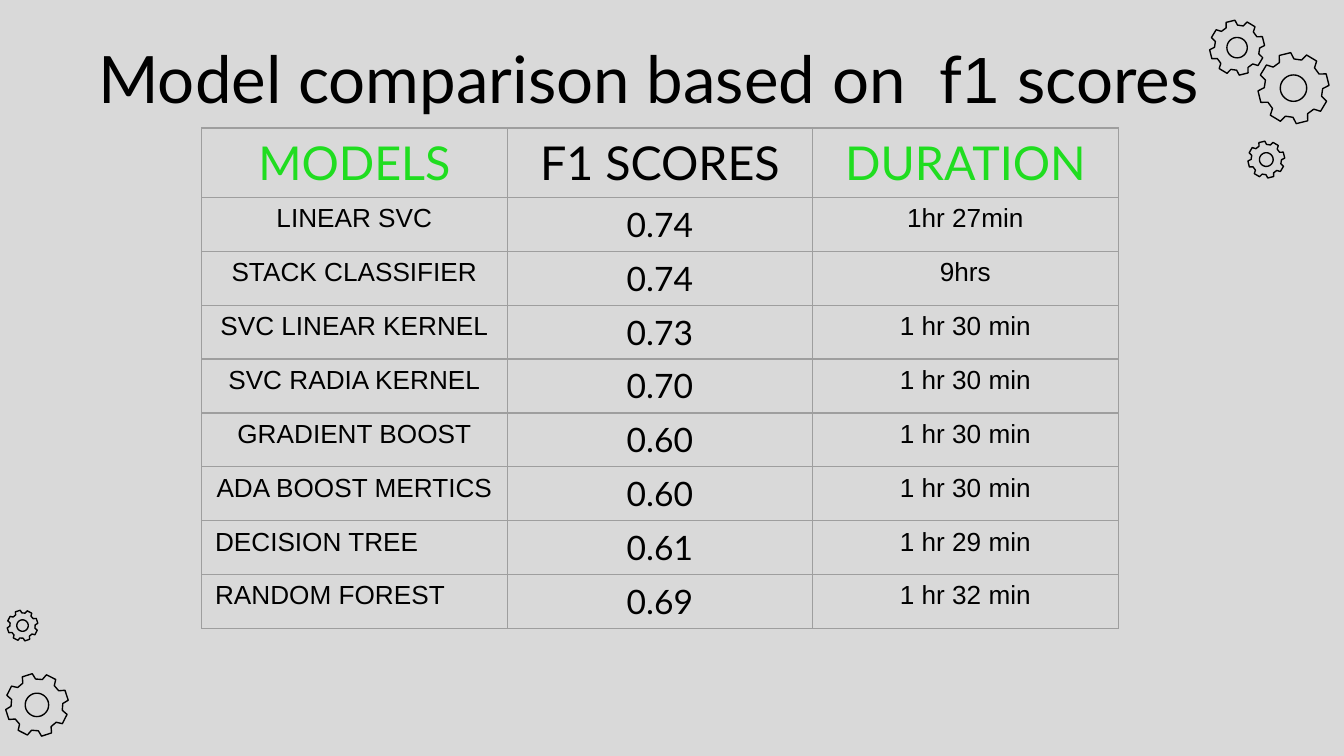
from math import cos, radians, sin

from lxml import etree
from pptx import Presentation
from pptx.dml.color import RGBColor
from pptx.enum.text import MSO_ANCHOR, PP_ALIGN
from pptx.oxml.ns import qn
from pptx.util import Inches, Pt

MID = MSO_ANCHOR.MIDDLE
LEFT, CENTER = PP_ALIGN.LEFT, PP_ALIGN.CENTER
WIDE = Inches(10)
HIGH = WIDE * 9 // 16
INK = {"back": "D9D9D9", "text": "000000", "green": "20DD20", "rule": "9E9E9E"}
TITLE = {"name": "Lato", "size": Pt(35)}
DIGIT = {"name": "Arial", "size": Pt(35)}
HEAD = {"name": "Lato", "size": Pt(25)}
SCORE = {"name": "Lato", "size": Pt(18)}
BODY = {"name": "Arial", "size": Pt(14)}
HEADS = [("MODELS", "green"), ("F1 SCORES", "text"), ("DURATION", "green")]
ROWS = [
    ("LINEAR SVC", "0.74", "1hr 27min"),
    ("STACK CLASSIFIER", "0.74", "9hrs"),
    ("SVC LINEAR KERNEL", "0.73", "1 hr 30 min"),
    ("SVC RADIA KERNEL", "0.70", "1 hr 30 min"),
    ("GRADIENT BOOST", "0.60", "1 hr 30 min"),
    ("ADA BOOST MERTICS", "0.60", "1 hr 30 min"),
    ("DECISION TREE", "0.61", "1 hr 29 min"),
    ("RANDOM FOREST", "0.69", "1 hr 32 min"),
]
FLUSH = ("DECISION TREE", "RANDOM FOREST")
GEARS = [
    (90, 2.67, 4.1, 31),
    (92.85, 18.67, 2.75, 31),
    (93.6, 6.96, 5.3, 31),
    (0.53, 80.71, 2.3, 27),
    (0.4, 89.07, 4.7, 27),
]


def tint(key):
    return RGBColor.from_string(INK[key])


def share(left, top, width, height):
    return (int(WIDE * left / 100), int(HIGH * top / 100),
            int(WIDE * width / 100), int(HIGH * height / 100))


def write(para, text, style, key="text", align=CENTER):
    para.alignment = align
    run = para.add_run()
    run.text = text
    for name, value in style.items():
        setattr(run.font, name, value)
    run.font.color.rgb = tint(key)


def edge(cell):
    props = cell._tc.get_or_add_tcPr()
    for side in ("a:lnL", "a:lnR", "a:lnT", "a:lnB"):
        line = etree.SubElement(props, qn(side), w=str(Pt(0.75)))
        fill = etree.SubElement(line, qn("a:solidFill"))
        etree.SubElement(fill, qn("a:srgbClr"), val=INK["rule"])
    cell.fill.background()


def add_gear(slide, box, turn):
    left, top, size, _ = box
    mid_x, mid_y, rad = left + size / 2, top + size / 2, size / 2

    def spot(angle, part):
        turned = radians(angle)
        return (round(mid_x + rad * part * cos(turned)),
                round(mid_y + rad * part * sin(turned)))

    tooth = [(-15, 0.82), (-9.5, 1), (9.5, 1), (15, 0.82)]
    rim = [spot(turn + 45 * step + angle, part)
           for step in range(8) for angle, part in tooth]
    hole = [spot(angle, 0.37) for angle in range(0, 360, 10)]
    path = slide.shapes.build_freeform(*rim[0], scale=1.0)
    path.add_line_segments(rim[1:], close=True)
    path.move_to(*hole[0])
    path.add_line_segments(hole[1:], close=True)
    gear = path.convert_to_shape()
    gear.shadow.inherit = False
    gear.fill.background()
    gear.line.color.rgb = tint("text")
    gear.line.width = Pt(0.75)


def add_title(slide, box):
    frame = slide.shapes.add_textbox(*box).text_frame
    look = {"word_wrap": True, "vertical_anchor": MID, "margin_left": 0,
            "margin_right": 0, "margin_top": 0, "margin_bottom": 0}
    for name, value in look.items():
        setattr(frame, name, value)
    para = frame.paragraphs[0]
    write(para, "Model comparison based on  f", TITLE)
    write(para, "1 ", DIGIT)
    write(para, "scores", TITLE)


def add_scores(slide, box):
    table = slide.shapes.add_table(len(ROWS) + 1, len(HEADS), *box).table
    table.first_row = table.horz_banding = False
    head = int(box[3] * 0.138)
    for row in table.rows:
        row.height = (box[3] - head) // len(ROWS)
    table.rows[0].height = head
    for col in table.columns:
        col.width = box[2] // len(HEADS)
    for cell in table.iter_cells():
        edge(cell)
    for col, (text, key) in enumerate(HEADS):
        write(table.cell(0, col).text_frame.paragraphs[0], text, HEAD, key)
    for row, items in enumerate(ROWS, 1):
        for col, text in enumerate(items):
            para = table.cell(row, col).text_frame.paragraphs[0]
            write(para, text, SCORE if col == 1 else BODY,
                  align=LEFT if text in FLUSH else CENTER)


def main():
    deck = Presentation()
    deck.slide_width, deck.slide_height = WIDE, HIGH
    slide = deck.slides.add_slide(deck.slide_layouts[6])
    slide.background.fill.solid()
    slide.background.fill.fore_color.rgb = tint("back")
    for left, top, size, turn in GEARS:
        add_gear(slide, share(left, top, size, size), turn)
    add_title(slide, share(6.1, 4.62, 84.3, 11.2))
    add_scores(slide, share(15, 16.93, 68.2, 66.13))
    deck.save("out.pptx")


if __name__ == "__main__":
    main()
